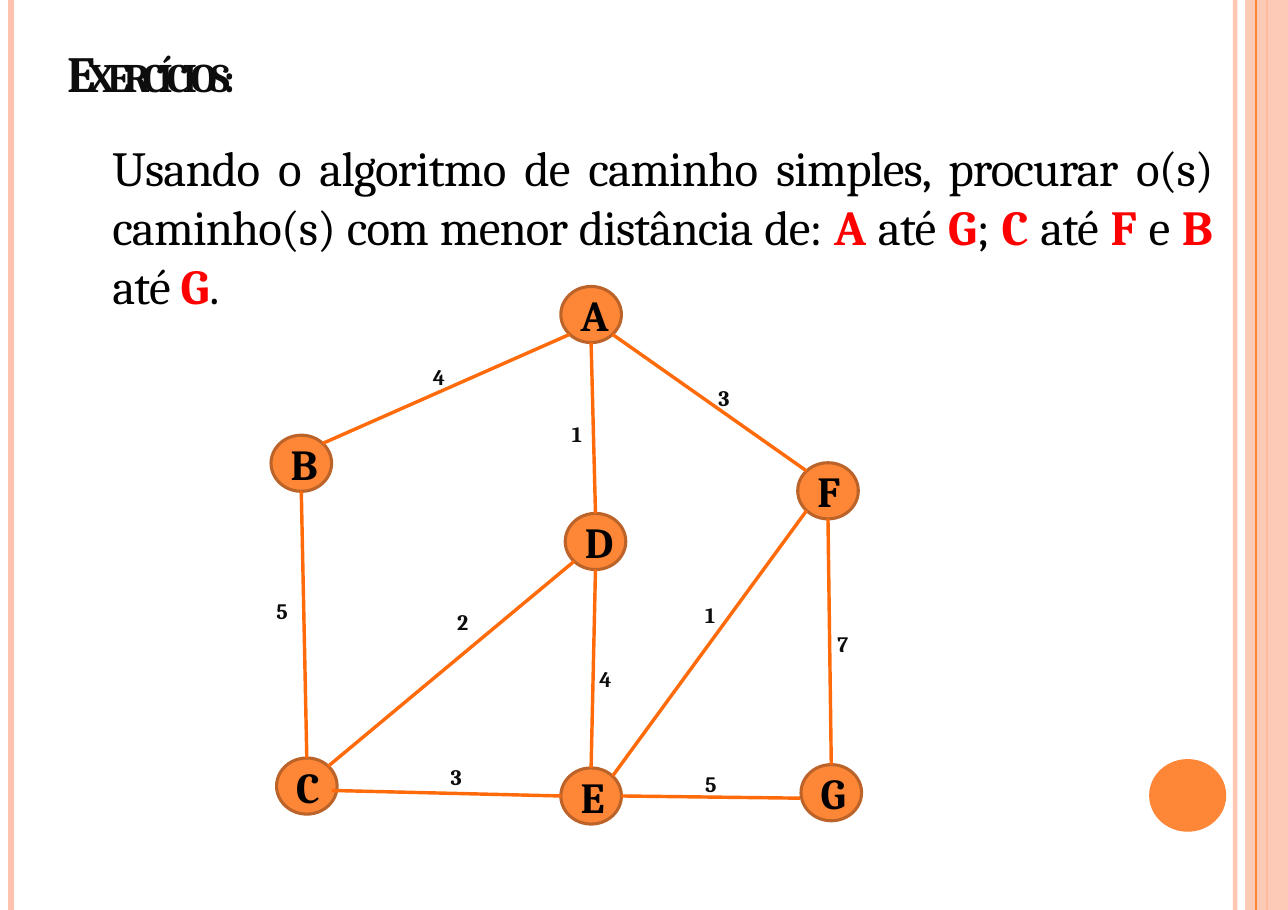
import math

import lxml.etree
import pptx
import pptx.dml.color
import pptx.enum.shapes
import pptx.enum.text
import pptx.oxml.ns
import pptx.util

RGBColor = pptx.dml.color.RGBColor
Shapes = pptx.enum.shapes.MSO_SHAPE
Align = pptx.enum.text.PP_ALIGN
Anchor = pptx.enum.text.MSO_ANCHOR
qn = pptx.oxml.ns.qn

BLACK = RGBColor(0x00, 0x00, 0x00)
INK = RGBColor(0x0D, 0x0D, 0x0D)
RED = RGBColor(0xFF, 0x00, 0x00)
ORANGE = RGBColor(0xFE, 0x86, 0x37)
EDGE = RGBColor(0xFF, 0x6B, 0x0A)
RIM = RGBColor(0xBC, 0x63, 0x29)
PEACH = RGBColor(0xFE, 0xC3, 0xAE)

FONT = "Cambria"
COLS, ROWS = 116.9, 82.6
NODE_W, NODE_H = 5.5, 5.1
SITES = {"right": 0, "bottom right": 45, "bottom": 90, "bottom left": 135,
         "left": 180, "top left": 225, "top": 270, "top right": 315}

NODES = {"A": (26.3, 0), "B": (0, 13.5), "C": (0.5, 42.8), "D": (26.7, 20.6),
         "E": (26.3, 43.7), "F": (47.8, 16), "G": (48.1, 43.4)}
EDGES = [
    ("A", "bottom left", "B", "top right"),
    ("A", "bottom", "D", "top"),
    ("A", "bottom right", "F", "top left"),
    ("B", "bottom", "C", "top"),
    ("C", "top right", "D", "bottom left"),
    ("C", "right", "E", "left"),
    ("D", "bottom", "E", "top"),
    ("E", "top right", "F", "bottom left"),
    ("E", "right", "G", "left"),
    ("F", "bottom", "G", "top"),
]
NUDGES = {("C", "right"): (-0.5, 0.4), ("G", "left"): (-0.1, 0.5)}
WEIGHTS = [
    ("4", 14.6, 6.3, 7.6), ("1", 27.2, 11.5, 7.6), ("3", 40.5, 8.2, 7.6),
    ("5", 0.4, 27.5, 2.6), ("2", 16.8, 28.5, 3.2), ("3", 16.2, 42.6, 7.6),
    ("4", 29.7, 33.7, 7.6), ("1", 39.3, 27.9, 7.6), ("5", 39.3, 43.2, 7.6),
    ("7", 51.3, 30.5, 7.6),
]
QUESTION = [
    ("Usando o algoritmo de caminho simples, procurar o(s) caminho(s) "
     "com menor distância de: ", False),
    ("A", True), (" até ", False), ("G", True), (";", False), (" C", True),
    (" até ", False), ("F ", True), ("e ", False), ("B", True),
    (" até ", False), ("G", True), (".", False),
]


def grid(cells):
    return pptx.util.Inches(cells / 10)


def set_alpha(fill, percent):
    clr = fill._xPr.find(".//" + qn("a:srgbClr"))
    lxml.etree.SubElement(clr, qn("a:alpha")).set("val", str(percent * 1000))


def add_run(p, text, size, color, bold=True, spacing=0, small_caps=False):
    r = p.add_run()
    r.text = text
    r.font.name = FONT
    r.font.size = pptx.util.Pt(size)
    r.font.bold = bold
    r.font.color.rgb = color
    rPr = r.font._element
    if spacing:
        rPr.set("spc", str(round(spacing * 100)))
    if small_caps:
        rPr.set("cap", "small")


def add_text(slide, box, runs, align=Align.LEFT, anchor=Anchor.BOTTOM,
             before=1, inset_top=0.1):
    tf = slide.shapes.add_textbox(*map(grid, box)).text_frame
    tf.word_wrap = True
    tf.auto_size = pptx.enum.text.MSO_AUTO_SIZE.SHAPE_TO_FIT_TEXT
    tf.vertical_anchor = anchor
    tf.margin_left = grid(0.1)
    tf.margin_right = tf.margin_bottom = 0
    tf.margin_top = grid(inset_top)
    p = tf.paragraphs[0]
    p.alignment = align
    p.space_before = pptx.util.Pt(before)
    for text, style in runs:
        add_run(p, text, **style)


def add_line(slide, start, end, color, width):
    c = slide.shapes.add_connector(pptx.enum.shapes.MSO_CONNECTOR.STRAIGHT,
                                   *map(grid, (*start, *end)))
    c.line.color.rgb = color
    c.line.width = pptx.util.Pt(width)
    lxml.etree.SubElement(c._element.spPr, qn("a:effectLst"))
    return c


def add_shape(slide, kind, box, color, rim=None):
    sp = slide.shapes.add_shape(kind, *map(grid, box))
    sp.shadow.inherit = False
    sp.fill.solid()
    sp.fill.fore_color.rgb = color
    if rim is None:
        sp.line.fill.background()
    else:
        sp.line.color.rgb = rim
        sp.line.width = pptx.util.Pt(2)
    return sp


def draw_frame(slide, box):
    left, top, width, height = box
    right, bottom = left + width, top + height

    def rule(x, color, weight):
        return add_line(slide, (x, top), (x, bottom), color, weight)

    inner = rule(right - 4.8, PEACH, 3)
    set_alpha(inner.line.fill, 93)
    rule(left + 1, PEACH, 4.5)
    rule(right - 1.9, ORANGE, 1.5)
    band = add_shape(slide, Shapes.RECTANGLE,
                     (right - 3.9, top, 3.9, height), PEACH)
    set_alpha(band.fill, 87)
    rule(right - 2.9, ORANGE, 0.75)
    add_shape(slide, Shapes.OVAL, (right - 12.6, bottom - 13.7, 7, 6.6), ORANGE)


def draw_heading(slide, box):
    left, top, width, height = box
    title = dict(size=33.1, color=INK, spacing=-4.2, small_caps=True)
    add_text(slide, (left, top, 31.7, 5.7), [("Exercícios:", title)])
    plain = dict(size=32, color=BLACK, bold=False, spacing=-0.6)
    marked = dict(plain, color=RED, bold=True)
    runs = [(text, marked if is_node else plain) for text, is_node in QUESTION]
    add_text(slide, (left + 4.1, top + 7.7, width - 4.1, height - 7.7), runs,
             align=Align.JUSTIFY, anchor=Anchor.TOP, before=8.7, inset_top=1.2)


def draw_graph(slide, box):
    left, top = box[:2]

    def site_point(name, site):
        col, row = NODES[name]
        dx, dy = NUDGES.get((name, site), (0, 0))
        angle = math.radians(SITES[site])
        return (left + col + NODE_W / 2 * (1 + math.cos(angle)) + dx,
                top + row + NODE_H / 2 * (1 + math.sin(angle)) + dy)

    for name, (col, row) in NODES.items():
        sp = add_shape(slide, Shapes.OVAL,
                       (left + col, top + row, NODE_W, NODE_H), ORANGE, RIM)
        tf = sp.text_frame
        tf.vertical_anchor = Anchor.MIDDLE
        tf.paragraphs[0].alignment = Align.CENTER
        add_run(tf.paragraphs[0], name, size=28, color=BLACK)
    for a, a_site, b, b_site in EDGES:
        add_line(slide, site_point(a, a_site), site_point(b, b_site), EDGE, 2.25)
    style = dict(size=18, color=INK, spacing=-3.1, small_caps=True)
    for text, col, row, width in WEIGHTS:
        add_text(slide, (left + col, top + row, width, 3.2), [(text, style)])


def main():
    prs = pptx.Presentation()
    prs.slide_width, prs.slide_height = grid(COLS), grid(ROWS)
    slide = prs.slides.add_slide(prs.slide_layouts[6])
    draw_frame(slide, (0, 0, COLS, ROWS))
    draw_heading(slide, (6, 3.6, 104.1, 25.1))
    draw_graph(slide, (24.6, 26, 53.6, 48.8))
    prs.save("out.pptx")


if __name__ == "__main__":
    main()
